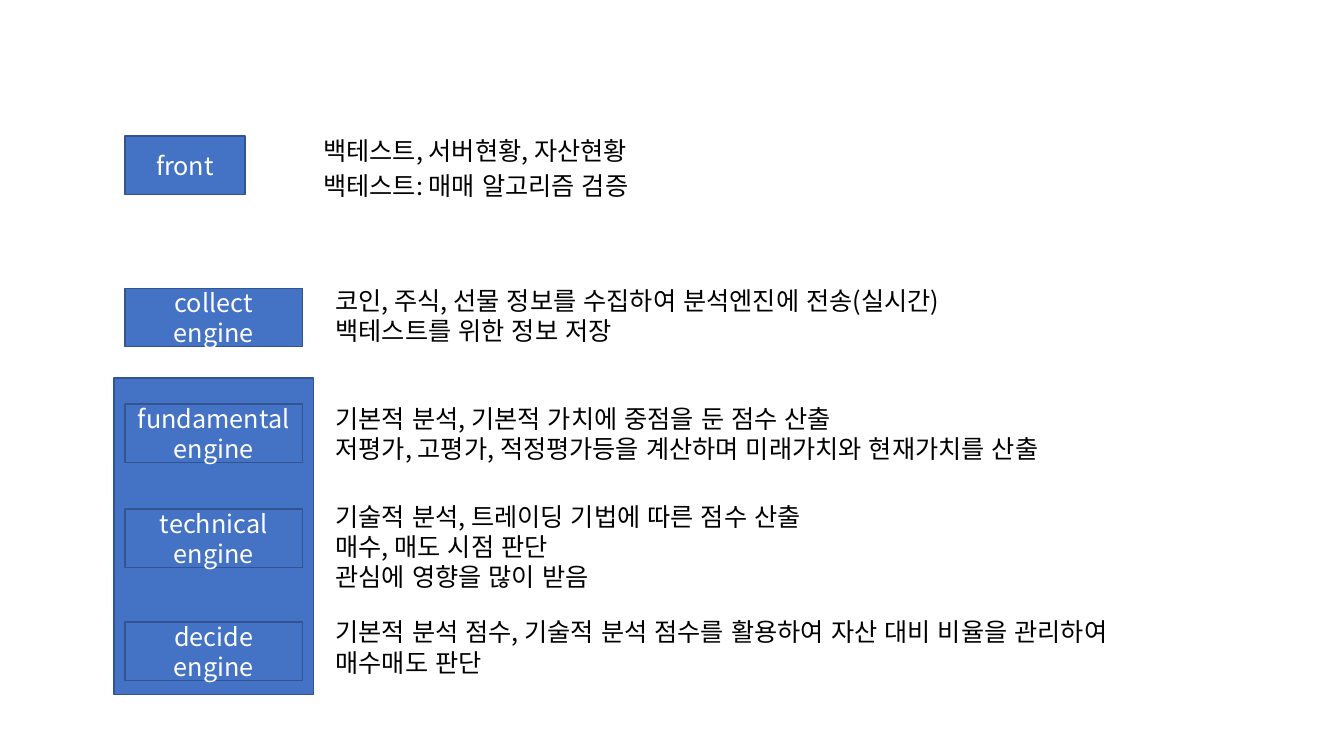
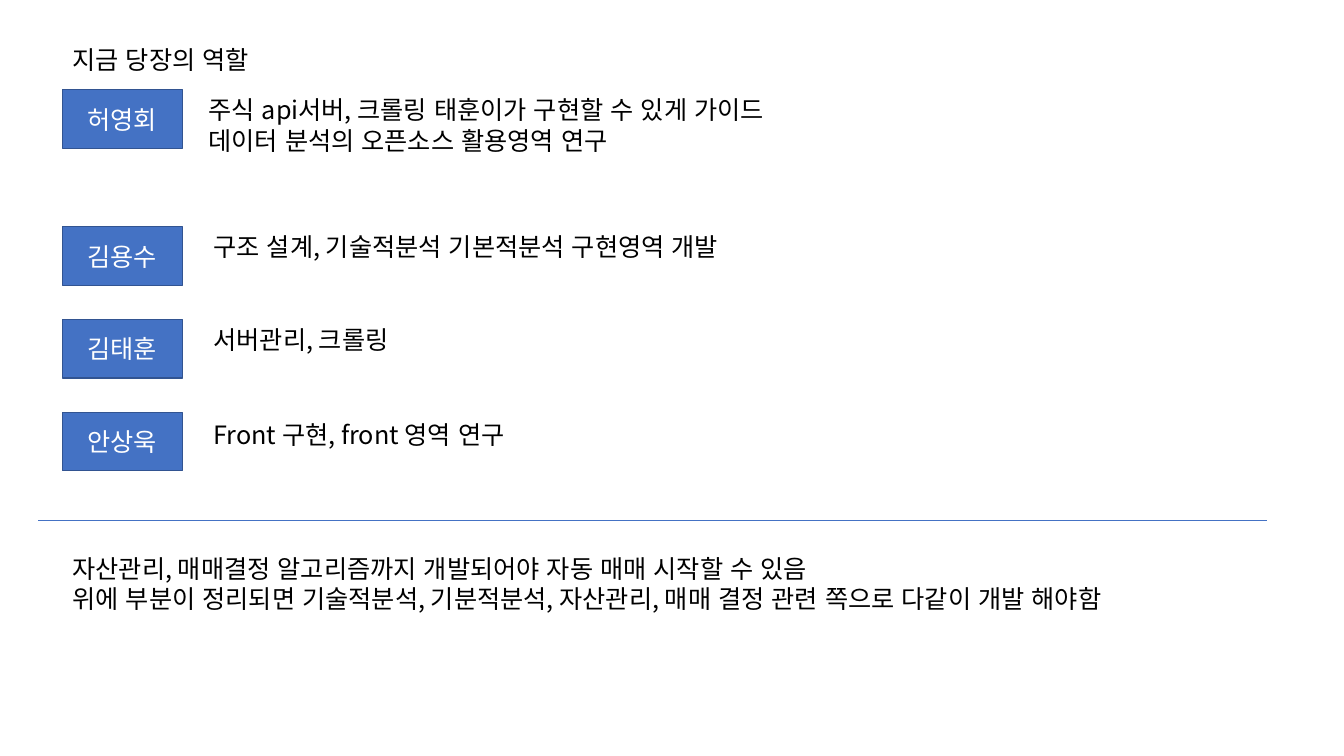
from dataclasses import dataclass

from lxml import etree
from pptx import Presentation
from pptx import util as u
from pptx.dml.color import RGBColor
from pptx.enum import lang, shapes, text
from pptx.oxml import ns

BLUE = RGBColor(0x44, 0x72, 0xC4)
EDGE = RGBColor(0x32, 0x54, 0x91)
WHITE = RGBColor(0xFF, 0xFF, 0xFF)
BLACK = RGBColor(0x00, 0x00, 0x00)
FONT = "Noto Sans CJK KR"
SIZE = 18
BOX_HEIGHT = 41.8
NARROW = 85.7
WIDE = 126.7
TEXT_HEIGHTS = {1: 28.8, 2: 50.9, 3: 72.7}
ENGINE_LEFT = 89.3
ENGINE_NOTE_LEFT = 232.6
MEMBER_LEFT = 44.6
MEMBER_NOTE_LEFT = 145.4


@dataclass(frozen=True)
class Box:
    label: str
    left: float
    top: float
    width: float
    height: float = BOX_HEIGHT


@dataclass(frozen=True)
class Note:
    lines: tuple[str, ...]
    left: float
    top: float
    width: float


@dataclass(frozen=True)
class Entry:
    box: Box
    notes: tuple[Note, ...]


def engine(label: str, top: float, note_top: float, note_width: float, *lines: str) -> Entry:
    note = Note(lines, ENGINE_NOTE_LEFT, note_top, note_width)
    return Entry(Box(label, ENGINE_LEFT, top, WIDE), (note,))


def member(name: str, top: float, note: Note) -> Entry:
    return Entry(Box(name, MEMBER_LEFT, top, NARROW), (note,))


ENGINE_GROUP = Box("", 81.4, 270, 142.6, 226.1)
COMPONENTS = (
    Entry(
        Box("front", ENGINE_LEFT, 97.2, NARROW),
        (
            Note(("백테스트, 서버현황, 자산현황",), 223.9, 92.9, 253.4),
            Note(("백테스트: 매매 알고리즘 검증",), 223.9, 118.1, 256.3),
        ),
    ),
    engine("collect engine", 205.9, 200.2, 496.8,
           "코인, 주식, 선물 정보를 수집하여 분석엔진에 전송(실시간)",
           "백테스트를 위한 정보 저장"),
    engine("fundamental engine", 288.7, 284.4, 570.2,
           "기본적 분석, 기본적 가치에 중점을 둔 점수 산출",
           "저평가, 고평가, 적정평가등을 계산하며 미래가치와 현재가치를 산출"),
    engine("technical engine", 363.6, 354.2, 384.5,
           "기술적 분석, 트레이딩 기법에 따른 점수 산출",
           "매수, 매도 시점 판단",
           "관심에 영향을 많이 받음"),
    engine("decide engine", 444.2, 437, 628.6,
           "기본적 분석 점수, 기술적 분석 점수를 활용하여 자산 대비 비율을 관리하여",
           "매수매도 판단"),
)

ROLE_TITLE = Note(("지금 당장의 역할",), MEMBER_LEFT, 28.1, 154.8)
MEMBERS = (
    member("허영회", 64.1, Note(
        ("주식 api서버, 크롤링 태훈이가 구현할 수 있게 가이드",
         "데이터 분석의 오픈소스 활용영역 연구"), 141.8, 64.1, 452.2)),
    member("김용수", 162, Note(
        ("구조 설계, 기술적분석 기본적분석 구현영역 개발",), MEMBER_NOTE_LEFT, 162, 414)),
    member("김태훈", 228.2, Note(
        ("서버관리, 크롤링",), MEMBER_NOTE_LEFT, 228.2, 151.9)),
    member("안상욱", 294.5, Note(
        ("Front 구현, front 영역 연구",), MEMBER_NOTE_LEFT, 295.9, 236.2)),
)
NEXT_STEPS = Note(
    ("자산관리, 매매결정 알고리즘까지 개발되어야 자동 매매 시작할 수 있음",
     "위에 부분이 정리되면 기술적분석, 기분적분석, 자산관리, 매매 결정 관련 쪽으로 다같이 개발 해야함"),
    MEMBER_LEFT, 391.7, 830.9)


def write_lines(frame, lines: tuple[str, ...], color: RGBColor, alignment) -> None:
    for index, line in enumerate(lines):
        paragraph = frame.add_paragraph() if index else frame.paragraphs[0]
        paragraph.alignment = alignment
        paragraph.space_before = u.Pt(0)
        run = paragraph.add_run()
        run.text = line
        run.font.size = u.Pt(SIZE)
        run.font.name = FONT
        run.font.language_id = lang.MSO_LANGUAGE_ID.KOREAN
        run.font.color.rgb = color
        east_asian = etree.SubElement(run.font._element, ns.qn("a:ea"))
        east_asian.set("typeface", FONT)


def fill_note(shape, note: Note) -> None:
    shape.left, shape.top = u.Pt(note.left), u.Pt(note.top)
    shape.width, shape.height = u.Pt(note.width), u.Pt(TEXT_HEIGHTS[len(note.lines)])
    frame = shape.text_frame
    frame.word_wrap = False
    frame.auto_size = text.MSO_AUTO_SIZE.SHAPE_TO_FIT_TEXT
    frame.vertical_anchor = text.MSO_ANCHOR.TOP
    write_lines(frame, note.lines, BLACK, text.PP_ALIGN.LEFT)


def remove_bullets(frame) -> None:
    for paragraph in frame.paragraphs:
        properties = paragraph._p.get_or_add_pPr()
        properties.set("marL", "0")
        properties.set("indent", "0")
        etree.SubElement(properties, ns.qn("a:buNone"))


def add_box(slide, box: Box) -> None:
    shape = slide.shapes.add_shape(
        shapes.MSO_SHAPE.RECTANGLE,
        u.Pt(box.left), u.Pt(box.top), u.Pt(box.width), u.Pt(box.height))
    shape.shadow.inherit = False
    shape.fill.solid()
    shape.fill.fore_color.rgb = BLUE
    shape.line.color.rgb = EDGE
    shape.line.width = u.Pt(1)
    if box.label:
        frame = shape.text_frame
        frame.word_wrap = True
        frame.vertical_anchor = text.MSO_ANCHOR.MIDDLE
        write_lines(frame, (box.label,), WHITE, text.PP_ALIGN.CENTER)


def add_entries(slide, entries: tuple[Entry, ...]) -> None:
    for entry in entries:
        add_box(slide, entry.box)
        for note in entry.notes:
            fill_note(slide.shapes.add_textbox(0, 0, 0, 0), note)


def add_divider(slide, left: float, right: float, top: float) -> None:
    divider = slide.shapes.add_connector(
        shapes.MSO_CONNECTOR.STRAIGHT, u.Pt(left), u.Pt(top), u.Pt(right), u.Pt(top))
    divider.line.color.rgb = BLUE
    divider.line.width = u.Pt(0.5)
    etree.SubElement(divider._element.spPr, ns.qn("a:effectLst"))


def add_architecture_slide(presentation) -> None:
    slide = presentation.slides.add_slide(presentation.slide_layouts[6])
    add_box(slide, ENGINE_GROUP)
    add_entries(slide, COMPONENTS)


def add_roles_slide(presentation) -> None:
    slide = presentation.slides.add_slide(presentation.slide_layouts[1])
    fill_note(slide.shapes.title, ROLE_TITLE)
    body = slide.placeholders[1]
    fill_note(body, NEXT_STEPS)
    remove_bullets(body.text_frame)
    add_entries(slide, MEMBERS)
    add_divider(slide, 27.4, 905, 371.5)


def main() -> None:
    presentation = Presentation()
    presentation.slide_width = u.Pt(960)
    presentation.slide_height = u.Pt(540)
    add_architecture_slide(presentation)
    add_roles_slide(presentation)
    presentation.save("out.pptx")


main()
